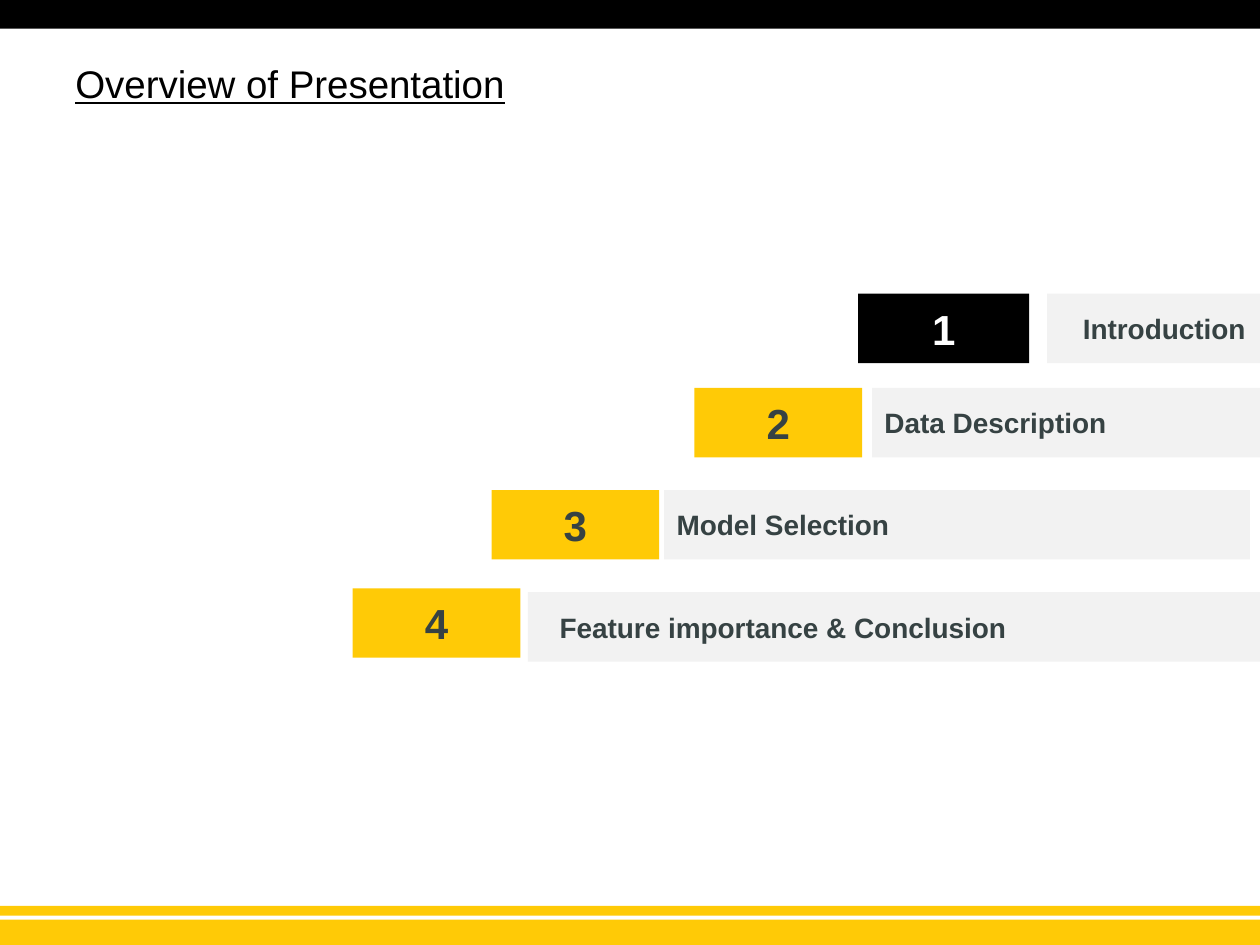
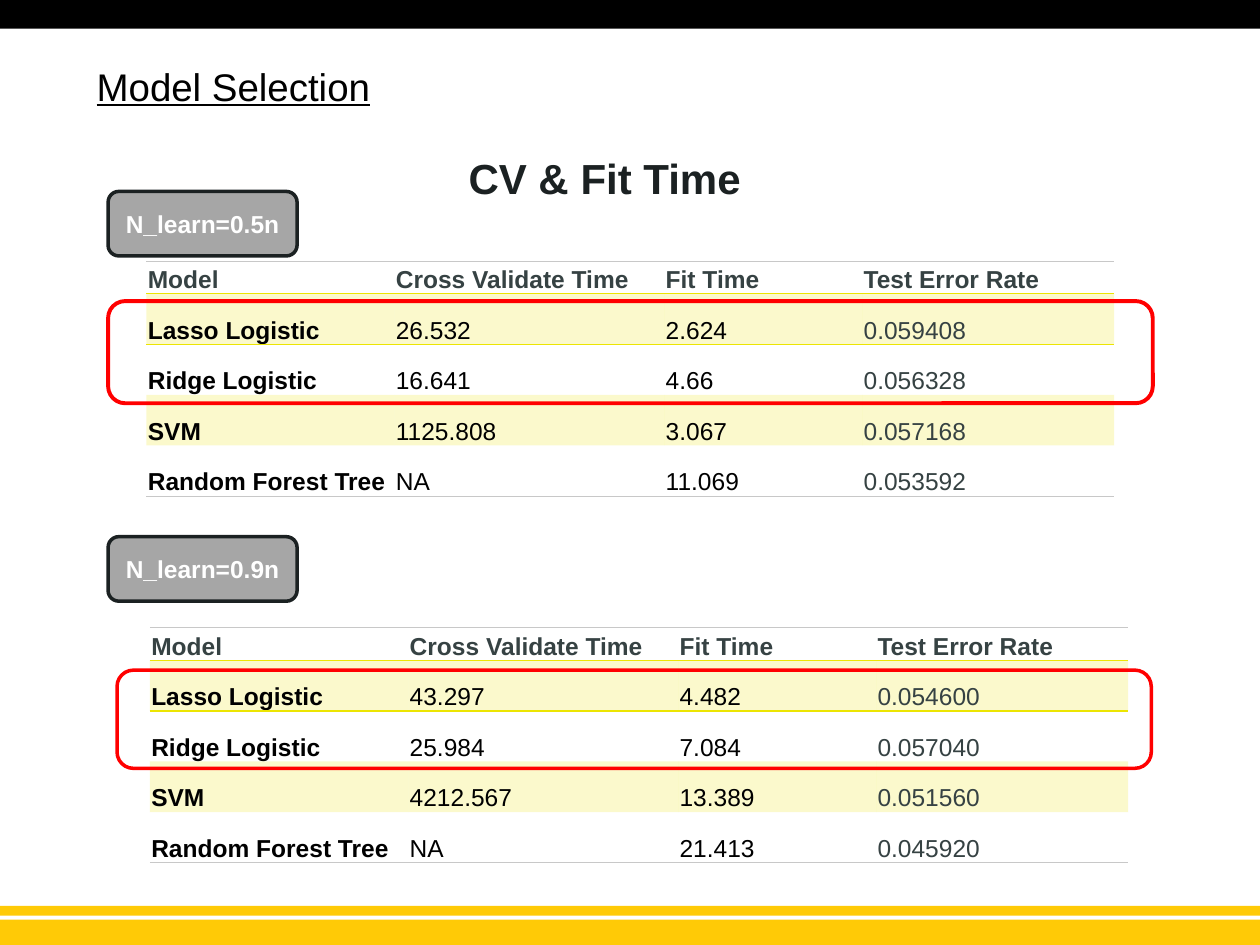
from lxml.etree import SubElement
from pptx import Presentation
from pptx.dml.color import RGBColor
from pptx.enum.shapes import MSO_SHAPE
from pptx.enum.text import MSO_ANCHOR, PP_ALIGN
from pptx.oxml.ns import qn
from pptx.util import Cm, Pt

BLACK = RGBColor(0x00, 0x00, 0x00)
WHITE = RGBColor(0xFF, 0xFF, 0xFF)
GOLD = RGBColor(0xFF, 0xCA, 0x06)
PALE_GREY = RGBColor(0xF2, 0xF2, 0xF2)
MID_GREY = RGBColor(0xA6, 0xA6, 0xA6)
RULE_GREY = RGBColor(0xC8, 0xC8, 0xC8)
SLATE = RGBColor(0x36, 0x42, 0x43)
INK = RGBColor(0x1B, 0x21, 0x22)
YELLOW = RGBColor(0xEC, 0xE5, 0x02)
RED = RGBColor(0xFF, 0x00, 0x00)

TITLE = {"size": Pt(22), "underline": True}
NUMBER = {"size": Pt(24), "bold": True}
LABEL = {"size": Pt(16), "bold": True}
CELL = {"size": Pt(14), "bold": False}
CELL_BOLD = {"size": Pt(14), "bold": True}
NO_STYLE = "{2D5ABB26-0587-4C30-8999-92F81FD0307C}"


def write(text_frame, text, color, format_values, alignment=PP_ALIGN.LEFT):
    paragraph = text_frame.paragraphs[0]
    paragraph.text = text
    paragraph.alignment = alignment
    paragraph.font.name = "Arial"
    paragraph.font.color.rgb = color
    for name, value in format_values.items():
        setattr(paragraph.font, name, value)


def add_box(slide, bounds, fill=None, line=None, line_width=2, kind=MSO_SHAPE.RECTANGLE):
    shape = slide.shapes.add_shape(kind, *[Cm(length) for length in bounds])
    shape.shadow.inherit = False
    shape.text_frame.vertical_anchor = MSO_ANCHOR.MIDDLE
    if fill is None:
        shape.fill.background()
    else:
        shape.fill.solid()
        shape.fill.fore_color.rgb = fill
    if line is None:
        shape.line.fill.background()
    else:
        shape.line.color.rgb = line
        shape.line.width = Pt(line_width)
    return shape


presentation = Presentation()
presentation.slide_width = Cm(25.4)
presentation.slide_height = Cm(19.05)

# Bands and titles on both slides
slides = []
for title, left, top in [("Overview of Presentation", 1.27, 0.79), ("Model Selection", 1.7, 0.84)]:
    slide = presentation.slides.add_slide(presentation.slide_layouts[6])
    slides.append(slide)
    for band_top, band_height, color in [(18.54, 0.51, GOLD), (0, 0.58, BLACK), (18.26, 0.2, GOLD)]:
        add_box(slide, (0, band_top, 25.4, band_height), color)
    title_box = slide.shapes.add_textbox(Cm(left), Cm(top), Cm(22.86), Cm(1.78))
    title_box.text_frame.word_wrap = True
    title_box.text_frame.vertical_anchor = MSO_ANCHOR.MIDDLE
    write(title_box.text_frame, title, BLACK, TITLE)
overview, selection = slides

# Overview: staircase of numbered sections
# number left, top, width; label left, top, width, text inset
sections = [
    ("Introduction", 17.3, 5.92, 3.45, 21.11, 5.92, 4.29, 0.72),
    ("Data Description", 14.0, 7.82, 3.38, 17.58, 7.82, 7.82, 0.25),
    ("Model Selection", 9.91, 9.88, 3.38, 13.39, 9.88, 11.81, 0.25),
    ("Feature importance & Conclusion", 7.11, 11.86, 3.38, 10.64, 11.94, 14.76, 0.64),
]
for number, section in enumerate(sections, start=1):
    name, left, top, width, label_left, label_top, label_width, inset = section
    fill, color = (BLACK, WHITE) if number == 1 else (GOLD, SLATE)
    number_box = add_box(overview, (left, top, width, 1.4), fill)
    write(number_box.text_frame, str(number), color, NUMBER, PP_ALIGN.CENTER)
    label_box = add_box(overview, (label_left, label_top, label_width, 1.4), PALE_GREY)
    label_box.text_frame.margin_left = Cm(inset)
    label_box.text_frame.margin_right = Cm(0.1)
    write(label_box.text_frame, name, SLATE, LABEL)

# Model selection: heading
heading = selection.shapes.add_textbox(Cm(4.06), Cm(2.95), Cm(16.26), Cm(1.27))
heading.text_frame.word_wrap = True
write(heading.text_frame, "CV & Fit Time", INK, NUMBER, PP_ALIGN.CENTER)

# Model selection: one table, highlight and tag for each learning share
header = ("Model", "Cross Validate Time", "Fit Time", "Test Error Rate")
results = [
    {
        "tag": "N_learn=0.5n", "tag_top": 3.86, "left": 2.95, "top": 5.26, "first_column": 5.0,
        "highlight": (2.18, 6.07, 21.06, 2.06), "highlight_width": 2.25,
        "rows": [
            ("Lasso Logistic", "26.532", "2.624", "0.059408"),
            ("Ridge Logistic", "16.641", "4.66", "0.056328"),
            ("SVM", "1125.808", "3.067", "0.057168"),
            ("Random Forest Tree", "NA", "11.069", "0.053592"),
        ],
    },
    {
        "tag": "N_learn=0.9n", "tag_top": 10.82, "left": 3.02, "top": 12.65, "first_column": 5.21,
        "highlight": (2.36, 13.51, 20.85, 1.98), "highlight_width": 2,
        "rows": [
            ("Lasso Logistic", "43.297", "4.482", "0.054600"),
            ("Ridge Logistic", "25.984", "7.084", "0.057040"),
            ("SVM", "4212.567", "13.389", "0.051560"),
            ("Random Forest Tree", "NA", "21.413", "0.045920"),
        ],
    },
]
# Rules above and below a row: tag, colour, width in points
row_rules = {
    0: [("a:lnT", RULE_GREY, 0.5), ("a:lnB", YELLOW, 1)],
    1: [("a:lnT", YELLOW, 1)],
    4: [("a:lnB", RULE_GREY, 0.5)],
}
for result in results:
    rows = [header] + result["rows"]
    widths = [result["first_column"], 5.44, 3.99, 5.08]
    heights = [0.66] + [1.02] * 4
    frame = selection.shapes.add_table(
        len(rows), len(widths), Cm(result["left"]), Cm(result["top"]), Cm(sum(widths)), Cm(sum(heights)))
    table = frame.table
    table.first_row = table.horz_banding = False
    table._tbl.tblPr.find(qn("a:tableStyleId")).text = NO_STYLE
    for column, width in zip(table.columns, widths):
        column.width = Cm(width)
    for row_index, values in enumerate(rows):
        table.rows[row_index].height = Cm(heights[row_index])
        for column_index, value in enumerate(values):
            cell = table.cell(row_index, column_index)
            cell.margin_left = cell.margin_right = cell.margin_top = Cm(0.03)
            cell.margin_bottom = 0
            cell.vertical_anchor = MSO_ANCHOR.BOTTOM
            is_bold = row_index == 0 or column_index == 0
            color = SLATE if row_index == 0 or column_index == 3 else BLACK
            write(cell.text_frame, value, color, CELL_BOLD if is_bold else CELL)
            properties = cell._tc.get_or_add_tcPr()
            for tag, rule_color, rule_width in row_rules.get(row_index, []):
                rule = SubElement(properties, qn(tag), w=str(int(Pt(rule_width))))
                rule_fill = SubElement(rule, qn("a:solidFill"))
                SubElement(rule_fill, qn("a:srgbClr"), val=str(rule_color))
            if row_index % 2:
                cell.fill.solid()
                cell.fill.fore_color.rgb = YELLOW
                tint = properties.find(qn("a:solidFill")).find(qn("a:srgbClr"))
                SubElement(tint, qn("a:alpha"), val="20000")
            else:
                cell.fill.background()
    add_box(selection, result["highlight"], None, RED, result["highlight_width"],
            MSO_SHAPE.ROUNDED_RECTANGLE)
    tag_box = add_box(selection, (2.18, result["tag_top"], 3.81, 1.3), MID_GREY, INK, 2,
                      MSO_SHAPE.ROUNDED_RECTANGLE)
    write(tag_box.text_frame, result["tag"], WHITE, CELL_BOLD, PP_ALIGN.CENTER)

presentation.save("out.pptx")
